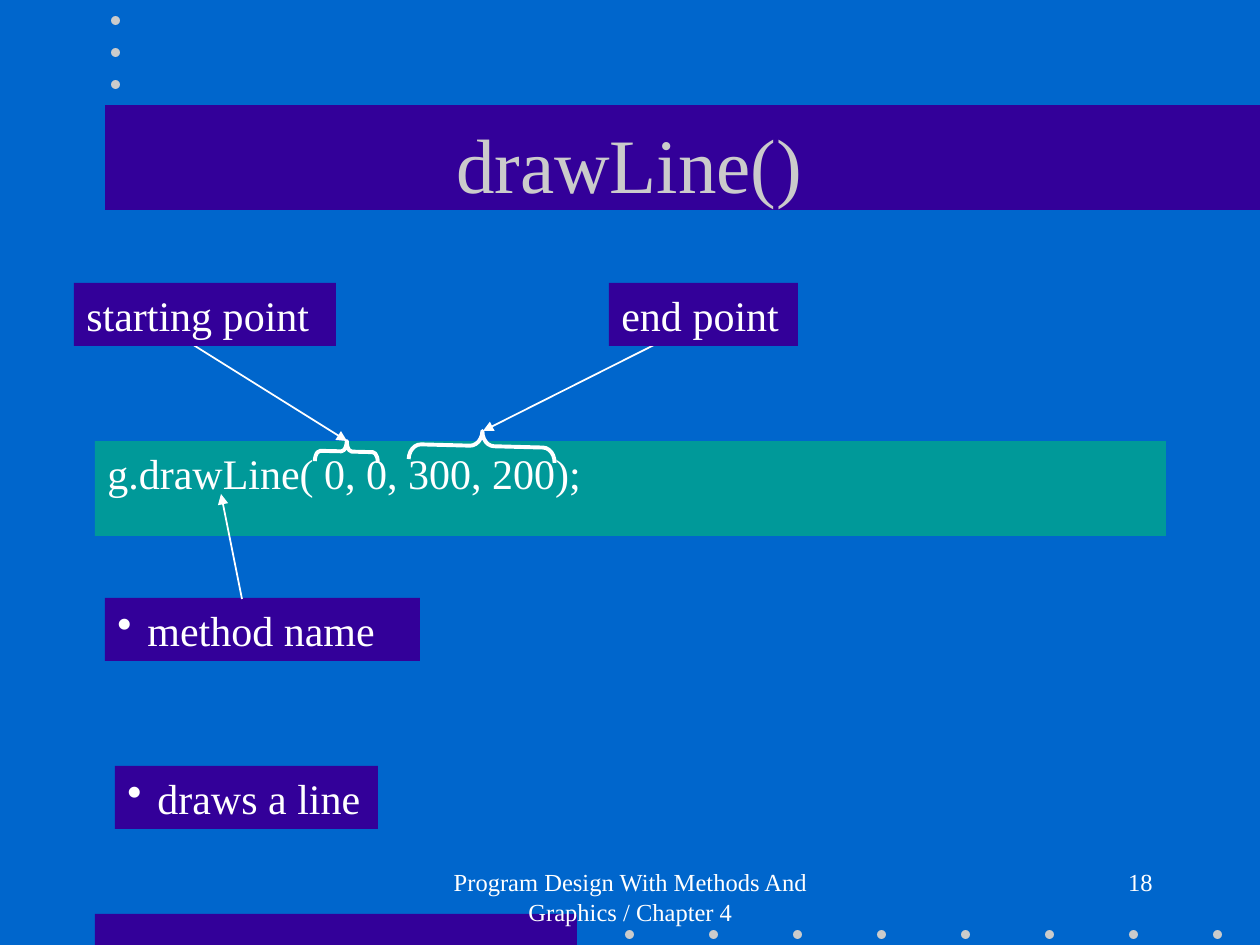
from lxml import etree
from pptx import Presentation
from pptx import util as u
from pptx.dml.color import RGBColor
from pptx.enum import shapes, text
from pptx.oxml.ns import qn

SCALE = 914400 / 126  # EMU per px
BLUE = RGBColor(0x00, 0x66, 0xCC)
PURPLE = RGBColor(0x33, 0x00, 0x99)
TEAL = RGBColor(0x00, 0x99, 0x99)
GREY = RGBColor(0xCB, 0xCB, 0xCB)
WHITE = RGBColor(0xFF, 0xFF, 0xFF)
FONT = "Times New Roman"
BULLET_INDENT = 30

# Content: places are (left, top, width, height) in px
BARS = [(95, 914, 482, 31), (105, 105, 1155, 105)]
DOT = 9
DOTS = ([(625 + 84 * i, 930) for i in range(8)]
        + [(111, 16 + 32 * i) for i in range(3)])
TITLE = ("drawLine()", (94, 84, 1071, 158))
CODE = ("g.drawLine( 0, 0, 300, 200);", (95, 441, 1071, 95))
LABELS = [
    ("starting point", (74, 283, 262, 63), False),
    ("end point", (609, 283, 189, 63), False),
    ("method name", (105, 598, 315, 63), True),
    ("draws a line", (115, 766, 263, 63), True),
]
POINT_ARROWS = [((672, 336), (483, 431)), ((179, 336), (347, 441))]
METHOD_ARROW = ((242, 599), (221, 494))
BRACES = [((336, 420, 21, 63), 0.25), ((467, 373, 30, 146), 0.4)]
FOOTERS = [
    ("Program Design With Methods And Graphics / Chapter 4",
     (431, 861, 399, 63), text.PP_ALIGN.CENTER),
    ("18", (903, 861, 262, 63), text.PP_ALIGN.RIGHT),
]


def px(value):
    return u.Emu(round(value * SCALE))


def add_shape(page, kind, place, fill=None):
    shape = page.shapes.add_shape(kind, *map(px, place))
    shape.shadow.inherit = False
    shape.line.fill.background()
    if fill is None:
        shape.fill.background()
    else:
        shape.fill.solid()
        shape.fill.fore_color.rgb = fill
    return shape


def add_text(page, words, place, size=24, color=WHITE, fill=None, bullet=False,
             align=text.PP_ALIGN.LEFT, anchor=text.MSO_ANCHOR.TOP):
    if fill is None:
        box = page.shapes.add_textbox(*map(px, place))
    else:
        box = add_shape(page, shapes.MSO_SHAPE.RECTANGLE, place, fill)
    frame = box.text_frame
    frame.word_wrap = True
    frame.vertical_anchor = anchor
    para = frame.paragraphs[0]
    para.alignment = align
    span = para.add_run()
    span.text = words
    span.font.name = FONT
    span.font.size = u.Pt(size)
    span.font.color.rgb = color
    if bullet:
        props = para._p.get_or_add_pPr()
        props.set("marL", str(px(BULLET_INDENT)))
        props.set("indent", str(-px(BULLET_INDENT)))
        etree.SubElement(props, qn("a:buChar")).set("char", "•")


def add_arrow(page, start, end):
    arrow = page.shapes.add_connector(
        shapes.MSO_CONNECTOR.STRAIGHT, *map(px, start + end))
    arrow.line.color.rgb = WHITE
    arrow.line.width = u.Pt(1)
    etree.SubElement(arrow.line._get_or_add_ln(), qn("a:tailEnd")).set("type", "triangle")
    etree.SubElement(arrow._element.spPr, qn("a:effectLst"))


def add_brace(page, place, curl):
    brace = add_shape(page, shapes.MSO_SHAPE.LEFT_BRACE, place)
    brace.adjustments[0] = curl
    brace.rotation = 91.5
    brace.line.color.rgb = WHITE
    brace.line.width = u.Pt(2.25)


def main():
    deck = Presentation()
    deck.slide_width, deck.slide_height = px(1260), px(945)
    page = deck.slides.add_slide(deck.slide_layouts[6])
    page.background.fill.solid()
    page.background.fill.fore_color.rgb = BLUE

    # Decoration
    for place in BARS:
        add_shape(page, shapes.MSO_SHAPE.RECTANGLE, place, PURPLE)
    for left, top in DOTS:
        add_shape(page, shapes.MSO_SHAPE.OVAL, (left, top, DOT, DOT), GREY)

    # Arrows from the point labels, behind the boxes
    for start, end in POINT_ARROWS:
        add_arrow(page, start, end)

    # Title and code line with its braces
    add_text(page, *TITLE, size=44, color=GREY,
             align=text.PP_ALIGN.CENTER, anchor=text.MSO_ANCHOR.MIDDLE)
    add_text(page, *CODE, fill=TEAL)
    for place, curl in BRACES:
        add_brace(page, place, curl)

    # Labels and the method arrow
    for words, place, bullet in LABELS:
        add_text(page, words, place, fill=PURPLE, bullet=bullet)
    add_arrow(page, *METHOD_ARROW)

    # Footer and slide number
    for words, place, align in FOOTERS:
        add_text(page, words, place, size=14, align=align)

    deck.save("out.pptx")


if __name__ == "__main__":
    main()
